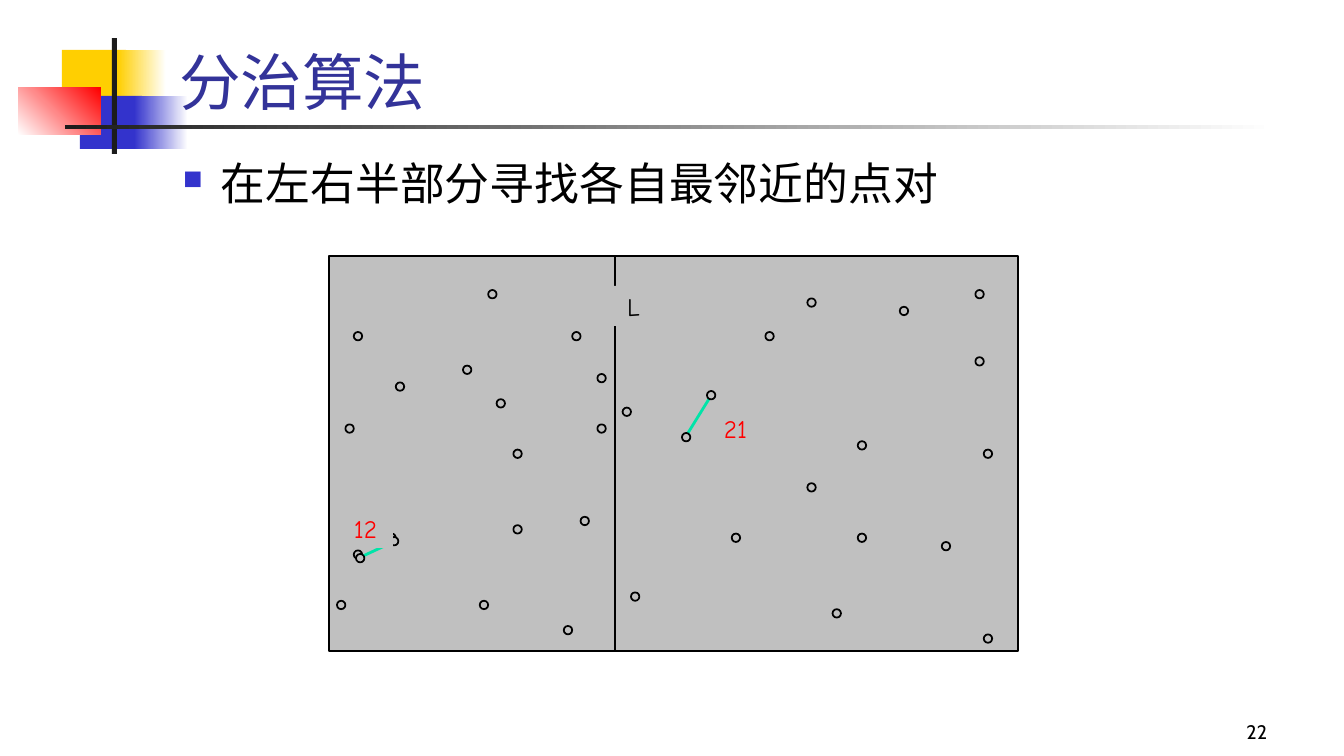
from lxml import etree
from pptx import Presentation
from pptx.dml.color import RGBColor
from pptx.enum.shapes import MSO_CONNECTOR, MSO_SHAPE
from pptx.enum.text import MSO_ANCHOR, PP_ALIGN
from pptx.oxml.ns import qn
from pptx.util import Pt

RECT, OVAL = MSO_SHAPE.RECTANGLE, MSO_SHAPE.OVAL
LINE = MSO_CONNECTOR.STRAIGHT
TOP, LOW = MSO_ANCHOR.TOP, MSO_ANCHOR.BOTTOM
LEFT, MID, RIGHT = PP_ALIGN.LEFT, PP_ALIGN.CENTER, PP_ALIGN.RIGHT

SCALE = 914400 / 100.8
SIZE = (1344, 756)
BLACK, WHITE, GREY = "000000", "FFFFFF", "C0C0C0"
RED, GREEN, BLUE = "FF0000", "00E4A8", "3333CC"
GOLD, DARK = "FFCF01", "1C1C1C"

DECOR = [
    ((62, 50, 64, 53), [GOLD], 0),
    ((118, 50, 48, 53), [GOLD, WHITE], 0),
    ((80, 96, 62, 53), [BLUE], 0),
    ((134, 96, 54, 53), [BLUE, WHITE], 0),
    ((18, 88, 83, 47), [WHITE, "FF0000"], 45),
    ((112, 38, 5, 116), [DARK], 0),
    ((65, 125, 1210, 4), [DARK, WHITE], 0),
]
TITLE = ("分治算法", (169, -3, 1145, 126),
         dict(size=Pt(44), name="Cabin"), "333399", LEFT, LOW)
POINT = ("在左右半部分寻找各自最邻近的点对", (173, 151, 1142, 454),
         dict(size=Pt(32), name="Cabin"), BLACK, LEFT, TOP)
PAGE = ("22", (997, 698, 280, 50),
        dict(size=Pt(14), name="Cabin"), BLACK, RIGHT, LOW)
TAG = dict(size=Pt(18), name="Comic Neue")

FIELD = (329, 256, 689, 395)
SPLIT = 615
START, STEP = (337, 290), 8.4
DOTS = [
    (7, 11), (31, 10), (21, 28), (35, 36), (2, 5), (15, 9), (18, 0),
    (19, 13), (51, 5), (28, 5), (77, 41), (56, 1), (62, 18), (1, 16),
    (34, 14), (21, 19), (31, 16), (29, 27), (2, 31), (6, 29), (27, 40),
    (0, 37), (17, 37), (76, 8), (67, 2), (47, 29), (76, 0), (56, 23),
    (59, 38), (77, 19), (62, 29), (72, 30),
]
PAIRS = [
    ((391, 543, 363, 556), [(356, 554), (390, 537)], "12", (338, 508)),
    ((709, 399, 688, 433), [(707, 391), (682, 433)], "21", (708, 408)),
]


def emu(*nums):
    return [round(n * SCALE) for n in nums]


def color(code):
    return RGBColor.from_string(code)


def shape(kind, box, fills, angle=0, edge=0):
    item = slide.shapes.add_shape(kind, *emu(*box))
    item.shadow.inherit = False
    if len(fills) > 1:
        item.fill.gradient()
        item.fill.gradient_angle = angle
        for stop, code in zip(item.fill.gradient_stops, fills):
            stop.color.rgb = color(code)
    else:
        item.fill.solid()
        item.fill.fore_color.rgb = color(fills[0])
    if edge:
        item.line.color.rgb = color(BLACK)
        item.line.width = Pt(edge)
    else:
        item.line.fill.background()
    return item


def dot(x, y):
    shape(OVAL, (x, y, STEP, STEP), [GREY], edge=1.25)


def line(ends, code, width):
    item = slide.shapes.add_connector(LINE, *emu(*ends))
    item.line.color.rgb = color(code)
    item.line.width = Pt(width)
    etree.SubElement(item._element.spPr, qn("a:effectLst"))


def write(item, text, font, code, align, anchor):
    frame = item.text_frame
    frame.word_wrap = True
    frame.vertical_anchor = anchor
    para = frame.paragraphs[0]
    para.alignment = align
    run = para.add_run()
    run.text = text
    for key, value in font.items():
        setattr(run.font, key, value)
    run.font.color.rgb = color(code)
    return para


def label(text, spot, code):
    write(shape(RECT, (*spot, 55, 40), [GREY]), text, TAG, code, MID, TOP)


def bullet(para):
    props = para._p.get_or_add_pPr()
    indent = emu(38)[0]
    props.set("marL", str(indent))
    props.set("indent", str(-indent))
    tint = etree.SubElement(props, qn("a:buClr"))
    etree.SubElement(tint, qn("a:srgbClr"), val=BLUE)
    etree.SubElement(props, qn("a:buSzPct"), val="60000")
    etree.SubElement(props, qn("a:buChar"), char="■")


deck = Presentation()
deck.slide_width, deck.slide_height = emu(*SIZE)
slide = deck.slides.add_slide(deck.slide_layouts[5])

for box, fills, angle in DECOR:
    shape(RECT, box, fills, angle)

title = slide.shapes.title
title.left, title.top, title.width, title.height = emu(*TITLE[1])
slide.shapes._spTree.append(title._element)
write(title, TITLE[0], *TITLE[2:])
bullet(write(slide.shapes.add_textbox(*emu(*POINT[1])), POINT[0], *POINT[2:]))
write(slide.shapes.add_textbox(*emu(*PAGE[1])), PAGE[0], *PAGE[2:])

shape(RECT, FIELD, [GREY], edge=1)
for col, row in DOTS:
    dot(START[0] + col * STEP, START[1] + row * STEP)
for ends, spots, text, spot in PAIRS:
    line(ends, GREEN, 2)
    for x, y in spots:
        dot(x, y)
    label(text, spot, RED)
line((SPLIT, FIELD[1], SPLIT, FIELD[1] + FIELD[3]), BLACK, 1)
label("L", (606, 286), BLACK)

deck.save("out.pptx")
